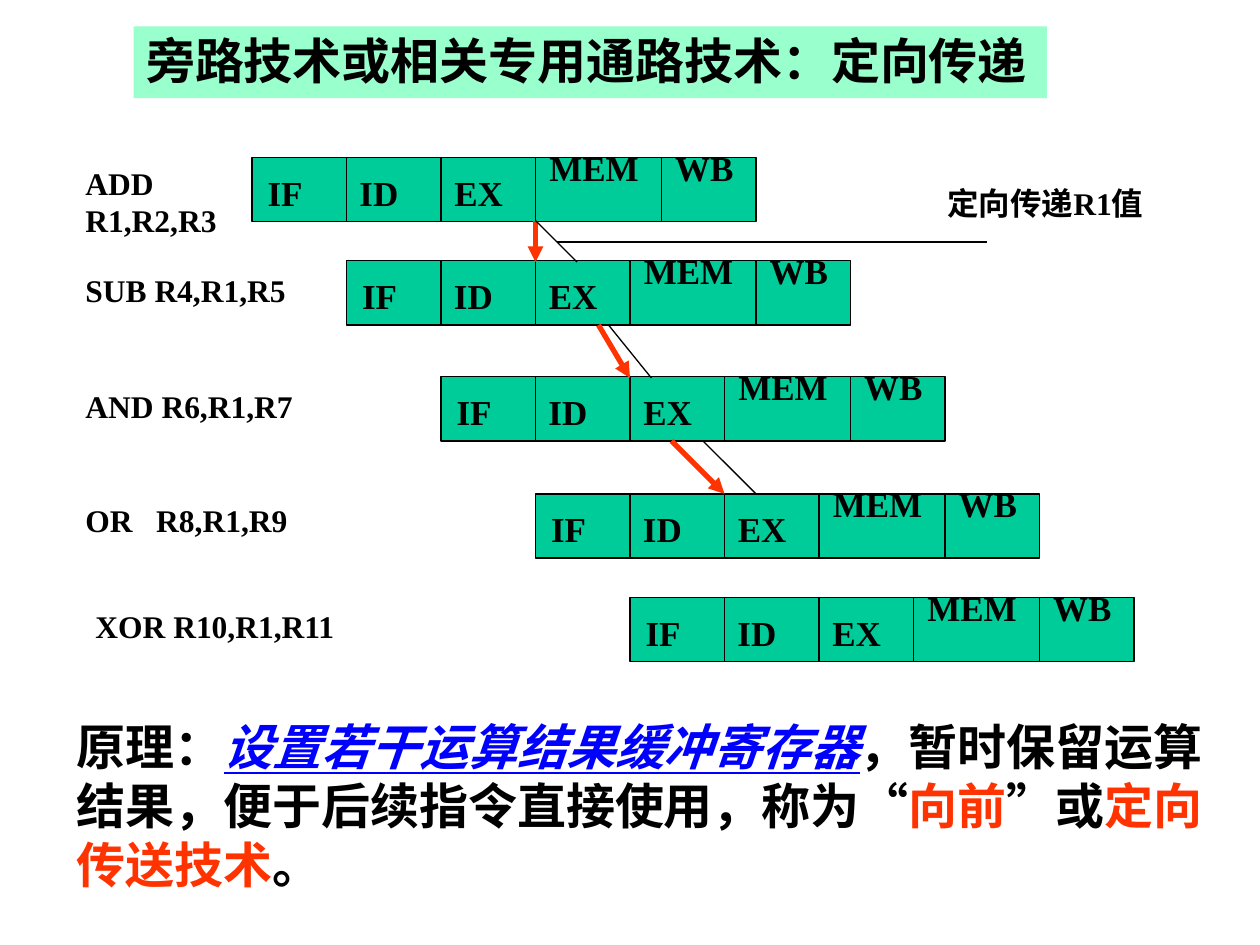
from dataclasses import dataclass
from lxml import etree
from pptx import Presentation
from pptx.dml.color import RGBColor
from pptx.enum.shapes import MSO_CONNECTOR, MSO_SHAPE
from pptx.enum.text import MSO_ANCHOR, MSO_AUTO_SIZE, PP_ALIGN
from pptx.oxml.ns import qn
from pptx.util import Pt

RECT = MSO_SHAPE.RECTANGLE
LINE = MSO_CONNECTOR.STRAIGHT
LEFT, CENTER = PP_ALIGN.LEFT, PP_ALIGN.CENTER
TOP, MIDDLE = MSO_ANCHOR.TOP, MSO_ANCHOR.MIDDLE
NO_FIT = MSO_AUTO_SIZE.NONE
SCALE = 9144  # EMU per px, 100 px to the inch


@dataclass(frozen=True)
class Theme:
    ink: str = "000000"
    cell: str = "00CC99"
    band: str = "99FFCC"
    hot: str = "FF3300"
    link: str = "0000FF"
    serif: str = "Times New Roman"
    sans: str = "Arial"
    han: str = "Noto Sans CJK SC"
    big: int = 28
    gap: int = 24
    stage: int = 20
    label: int = 18
    thin: float = 0.75
    thick: float = 3


def px(*nums):
    return [round(n * SCALE) for n in nums]


def write(frame, runs, theme, size, align=LEFT, anchor=TOP, lead=None):
    """Fill a frame with one paragraph; each run is (text, format)."""
    frame.word_wrap = True
    frame.auto_size = NO_FIT
    frame.vertical_anchor = anchor
    para = frame.paragraphs[0]
    para.alignment = align
    para.space_before = Pt(0)
    if lead:
        para.line_spacing = Pt(lead)
    for text, look in runs:
        run = para.add_run()
        run.text = text
        font = run.font
        font.size = Pt(look.get("size", size))
        font.name = look.get("face", theme.serif)
        font.bold = True
        font.italic = font.underline = look.get("stress", False)
        font.color.rgb = RGBColor.from_string(look.get("color", theme.ink))
        latin = font._element.find(qn("a:latin"))
        east = etree.Element(qn("a:ea"), typeface=theme.han)
        latin.addnext(east)
    return para


class Board:
    def __init__(self, deck, theme):
        self.theme = theme
        self.slide = deck.slides.add_slide(deck.slide_layouts[1])

    def place(self, shape, box):
        shape.left, shape.top, shape.width, shape.height = px(*box)

    def title(self, box, runs, lead):
        shape = self.slide.shapes.title
        self.place(shape, box)
        shape.fill.solid()
        shape.fill.fore_color.rgb = RGBColor.from_string(self.theme.band)
        write(shape.text_frame, runs, self.theme, self.theme.big, lead=lead)

    def body(self, box, runs, lead):
        shape = self.slide.placeholders[1]
        self.place(shape, box)
        para = write(shape.text_frame, runs, self.theme, self.theme.big, lead=lead)
        props = para._p.get_or_add_pPr()
        props.set("marL", "0")
        props.set("indent", "0")
        etree.SubElement(props, qn("a:buNone"))

    def cell(self, box, text):
        theme = self.theme
        shape = self.slide.shapes.add_shape(RECT, *px(*box))
        shape.shadow.inherit = False
        shape.fill.solid()
        shape.fill.fore_color.rgb = RGBColor.from_string(theme.cell)
        shape.line.color.rgb = RGBColor.from_string(theme.ink)
        shape.line.width = Pt(theme.thin)
        runs = [(text + " ", {}), ("  ", {"size": theme.gap})]
        write(shape.text_frame, runs, theme, theme.stage, CENTER, MIDDLE)

    def label(self, box, text, lead=None):
        shape = self.slide.shapes.add_textbox(*px(*box))
        write(shape.text_frame, [(text, {})], self.theme, self.theme.label, lead=lead)

    def line(self, ends, arrow=False):
        theme = self.theme
        link = self.slide.shapes.add_connector(LINE, *px(*ends))
        link.line.color.rgb = RGBColor.from_string(theme.hot if arrow else theme.ink)
        link.line.width = Pt(theme.thick if arrow else theme.thin)
        if arrow:
            etree.SubElement(link.line._get_or_add_ln(), qn("a:tailEnd"), type="triangle")
        etree.SubElement(link._element.spPr, qn("a:effectLst"))


def main():
    theme = Theme()
    deck = Presentation()
    deck.slide_width, deck.slide_height = px(1000, 750)
    board = Board(deck, theme)

    # Title band
    board.title((106, 21, 725, 57), [
        ("旁路技术或相关专用通路技术：", {"face": theme.sans}),
        ("定向传递", {}),
    ], lead=32.5)

    # Pipeline: each instruction starts one stage later
    stages = [("IF", 75), ("ID", 75), ("EX", 75), ("MEM", 100), ("WB", 75)]
    tops = [125, 207, 299, 392, 474]
    for row, top in enumerate(tops):
        left = 200 + 75 * row
        for name, width in stages:
            board.cell((left, top, width, 51), name)
            left += width

    # Forwarding arrows
    for ends in [(425, 175, 425, 208), (475, 258, 500, 300), (533, 350, 575, 392)]:
        board.line(ends, arrow=True)

    # Thin guide lines and the leader to the note
    for ends in [(425, 175, 458, 208), (483, 258, 517, 300),
                 (558, 350, 600, 392), (442, 192, 783, 192)]:
        board.line(ends)

    # Instruction labels and note
    for box, text in [
        ((58, 125, 183, 70), "ADD R1,R2,R3"),
        ((58, 210, 183, 40), "SUB R4,R1,R5"),
        ((58, 302, 221, 40), "AND R6,R1,R7"),
        ((58, 393, 183, 40), "OR   R8,R1,R9"),
        ((66, 477, 213, 40), "XOR R10,R1,R11"),
    ]:
        board.label(box, text)
    board.label((742, 142, 208, 40), "定向传递R1值", lead=21)

    # Principle
    han = {"face": theme.han}
    hot = {"face": theme.han, "color": theme.hot}
    board.body((51, 564, 920, 150), [
        ("原理：", {}),
        ("设置若干运算结果缓冲寄存器", {"face": theme.han, "color": theme.link, "stress": True}),
        ("，暂时保留运算结果，便于后续指令直接使用，称为“", han),
        ("向前", hot),
        ("”或", han),
        ("定向传送技术", hot),
        ("。", {}),
    ], lead=33.5)

    deck.save("out.pptx")


if __name__ == "__main__":
    main()
